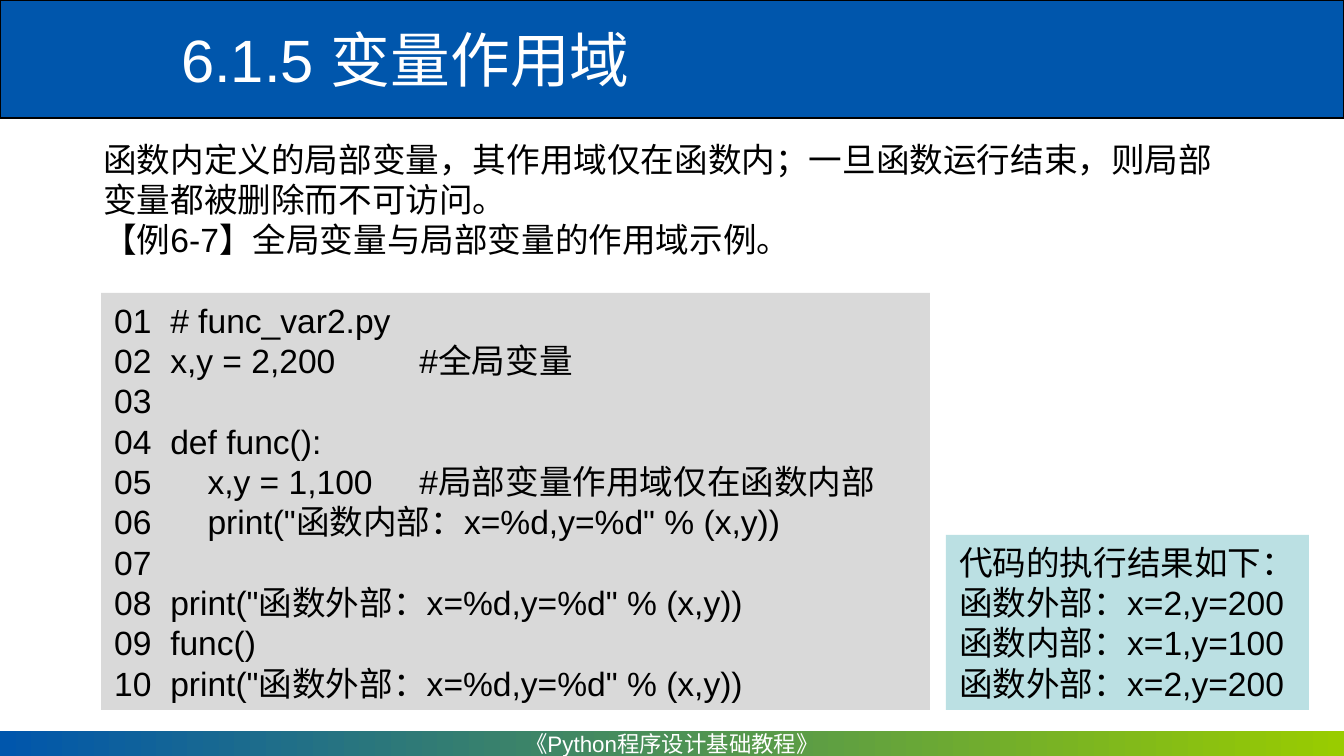
import pptx
import pptx.util
from pptx.dml.color import RGBColor
from pptx.enum.shapes import MSO_SHAPE
from pptx.enum.text import MSO_ANCHOR, PP_ALIGN

PX = 914400 / 134.4
WHITE = RGBColor(0xFF, 0xFF, 0xFF)
BLACK = RGBColor(0x00, 0x00, 0x00)
BLUE = RGBColor(0x00, 0x56, 0xAC)
GREEN = RGBColor(0x99, 0xCC, 0x00)
GRAY = RGBColor(0xD9, 0xD9, 0xD9)
PALE_TEAL = RGBColor(0xBB, 0xE0, 0xE3)

INTRO = [
    "函数内定义的局部变量，其作用域仅在函数内；一旦函数运行结束，则局部变量都被删除而不可访问。",
    "【例6-7】全局变量与局部变量的作用域示例。",
]
CODE = [
    "01  # func_var2.py",
    "02  x,y = 2,200         #全局变量",
    "03",
    "04  def func():",
    "05      x,y = 1,100     #局部变量作用域仅在函数内部",
    '06      print("函数内部：x=%d,y=%d" % (x,y))',
    "07",
    '08  print("函数外部：x=%d,y=%d" % (x,y))',
    "09  func()",
    '10  print("函数外部：x=%d,y=%d" % (x,y))',
]
RESULT = [
    "代码的执行结果如下：",
    "函数外部：x=2,y=200",
    "函数内部：x=1,y=100",
    "函数外部：x=2,y=200",
]


def add_panel(page, left, top, width, height, color=None):
    """Add a borderless rectangle, unfilled when no color is given."""
    box = page.shapes.add_shape(
        MSO_SHAPE.RECTANGLE, *(round(n * PX) for n in (left, top, width, height))
    )
    box.shadow.inherit = False
    box.line.fill.background()
    if color is None:
        box.fill.background()
    else:
        box.fill.solid()
        box.fill.fore_color.rgb = color
    return box


def write_lines(box, lines, size, color, anchor=MSO_ANCHOR.TOP, align=PP_ALIGN.LEFT, wrap=True):
    frame = box.text_frame
    frame.word_wrap = wrap
    frame.vertical_anchor = anchor
    for index, line in enumerate(lines):
        para = frame.add_paragraph() if index else frame.paragraphs[0]
        para.text = line
        para.alignment = align
        para.font.name = "Arial"
        para.font.size = pptx.util.Pt(size)
        para.font.color.rgb = color


deck = pptx.Presentation()
deck.slide_width = round(1344 * PX)
deck.slide_height = round(756 * PX)
page = deck.slides.add_slide(deck.slide_layouts[6])

banner = add_panel(page, 0, 0, 1344, 118, BLUE)
banner.line.color.rgb = BLACK
banner.line.width = pptx.util.Pt(0.75)

footer = add_panel(page, 0, 731, 1344, 25)
footer.fill.gradient()
footer.fill.gradient_angle = 0
for stop, color in zip(footer.fill.gradient_stops, (BLUE, GREEN)):
    stop.color.rgb = color
write_lines(footer, ["《Python程序设计基础教程》"], 12, WHITE,
            MSO_ANCHOR.MIDDLE, PP_ALIGN.CENTER, wrap=False)

title = page.shapes.add_textbox(*(round(n * PX) for n in (168, 8, 1176, 101)))
write_lines(title, ["6.1.5 变量作用域"], 32, WHITE, MSO_ANCHOR.MIDDLE)

intro = page.shapes.add_textbox(*(round(n * PX) for n in (90, 132, 1165, 134)))
write_lines(intro, INTRO, 18, BLACK)

code = add_panel(page, 101, 293, 829, 417, GRAY)
write_lines(code, CODE, 18, BLACK)

result = add_panel(page, 946, 535, 363, 175, PALE_TEAL)
write_lines(result, RESULT, 18, BLACK, wrap=False)

deck.save("out.pptx")
